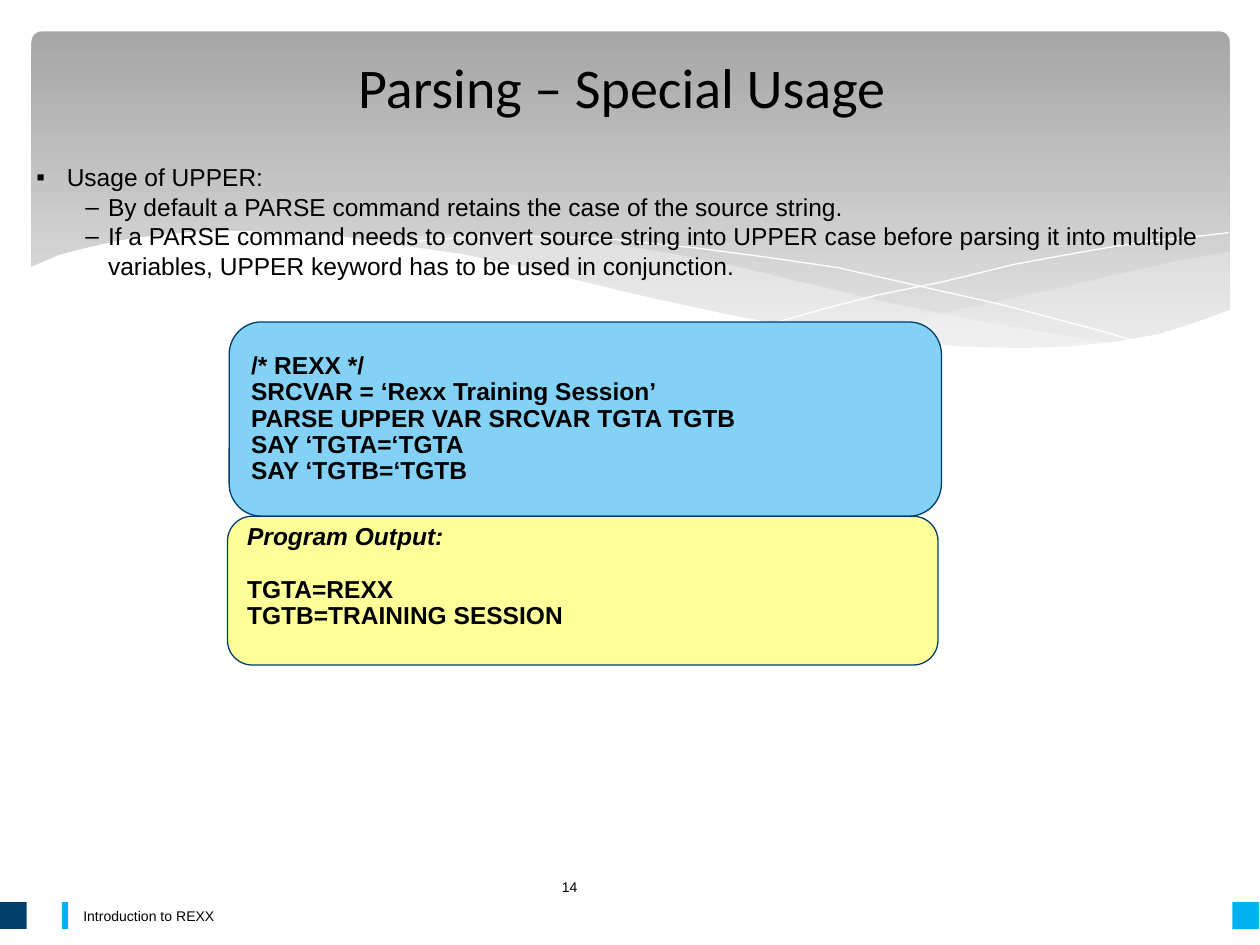
import pptx
import pptx.dml.color
import pptx.enum.shapes
import pptx.enum.text
import pptx.oxml.ns
import pptx.util
from lxml import etree

Pt = pptx.util.Pt
RGBColor = pptx.dml.color.RGBColor
SHAPE = pptx.enum.shapes.MSO_SHAPE
ANCHOR = pptx.enum.text.MSO_ANCHOR
ALIGN = pptx.enum.text.PP_ALIGN

BLACK = RGBColor(0x00, 0x00, 0x00)
WHITE = RGBColor(0xFF, 0xFF, 0xFF)
BANNER_DARK = RGBColor(0xA6, 0xA6, 0xA6)
BANNER_LIGHT = RGBColor(0xEB, 0xEB, 0xEB)
WAVE_GRAY = RGBColor(0xF8, 0xF8, 0xF8)
NAVY = RGBColor(0x00, 0x3F, 0x69)
CYAN = RGBColor(0x00, 0xB2, 0xEF)
CODE_BLUE = RGBColor(0x83, 0xD1, 0xF5)
OUTPUT_YELLOW = RGBColor(0xFF, 0xFF, 0x99)

# Wave outlines: points on the slide, in points of length.
RIGHT_WAVE = [
    (702.7, 144), (673.2, 149), (641.5, 155.5), (599, 165.6), (560.9, 174.2),
    (524.9, 182.2), (475.9, 190.8), (497.5, 193.7), (527, 197.3), (553.7, 199.4),
    (586.1, 200.2), (614.9, 198.7), (640.1, 195.8), (663.1, 190.8), (683.3, 185),
    (702.7, 177.8)]
MIDDLE_WAVE = [
    (643, 196.6), (602.6, 190.8), (558, 182.9), (508.3, 172.8), (452.9, 159.8),
    (420.5, 151.9), (389.5, 146.2), (360.7, 141.1), (317.5, 136.1), (273.6, 133.2),
    (247.7, 133.9), (205.9, 137.5), (246.2, 143.3), (290.9, 151.9), (353.5, 167),
    (407.5, 178.6), (456.5, 187.9), (500.4, 194.4), (538.6, 198.7), (573.1, 200.9),
    (603.4, 200.2)]
FALLING_CURVE = [
    (222.5, 140.4), (247, 136.8), (278.6, 134.6), (311.8, 134.6), (352.1, 136.8),
    (400.3, 141.8), (437.8, 146.9), (478.8, 153.4), (523.4, 162.7), (572.4, 174.2),
    (625, 187.9), (653, 195.8)]
RISING_CURVE = [
    (441.4, 185), (469.4, 177.1), (500.4, 169.2), (538.6, 160.6), (580.3, 151.2),
    (623.5, 143.3), (655.2, 138.2), (684.7, 134.6), (702, 133.2)]
WHITE_WAVE = [
    (703.4, 177.1), (684, 184.3), (662.4, 190.8), (638.6, 195.1), (612, 198),
    (582.5, 199.4), (547.9, 198), (509.8, 194.4), (465.8, 188.6), (416.9, 180),
    (362.2, 167.8), (301, 153.4), (262.8, 145.4), (226.8, 139.7), (195.1, 135.4),
    (165.6, 133.2), (139, 132.5), (115.9, 132.5), (95, 133.9), (76.3, 136.1),
    (61.2, 139), (48.2, 141.8), (33.1, 146.2), (16.6, 153.4), (16.6, 236.9),
    (703.4, 236.9)]


def format_paragraph(paragraph, text, size, name="Arial", bold=None, italic=None):
    paragraph.text = text
    font = paragraph.font
    font.size, font.name = Pt(size), name
    font.bold, font.italic = bold, italic
    font.color.rgb = BLACK


def add_preset(slide, preset, left, top, width, height, color=None):
    shape = slide.shapes.add_shape(preset, Pt(left), Pt(top), Pt(width), Pt(height))
    shape.shadow.inherit = False
    shape.line.fill.background()
    if color is not None:
        shape.fill.solid()
        shape.fill.fore_color.rgb = color
    return shape


def add_outline(slide, points, closed):
    builder = slide.shapes.build_freeform(*points[0], scale=Pt(1))
    builder.add_line_segments(points[1:], close=closed)
    shape = builder.convert_to_shape()
    shape.shadow.inherit = False
    return shape


def add_wave(slide, points, color, opacity=100):
    shape = add_outline(slide, points, True)
    shape.line.fill.background()
    shape.fill.solid()
    shape.fill.fore_color.rgb = color
    if opacity < 100:
        color_element = shape.element.spPr.find(".//" + pptx.oxml.ns.qn("a:srgbClr"))
        etree.SubElement(color_element, pptx.oxml.ns.qn("a:alpha"), val=str(opacity * 1000))


def add_curve(slide, points):
    shape = add_outline(slide, points, False)
    shape.fill.background()
    shape.line.color.rgb = WHITE
    shape.line.width = Pt(0)


def add_banner(slide):
    banner = add_preset(slide, SHAPE.ROUNDED_RECTANGLE, 18, 18, 684.7, 194.4)
    banner.adjustments[0] = 0.03
    banner.fill.gradient()
    banner.fill.gradient_angle = 270
    for stop, color in zip(banner.fill.gradient_stops, (BANNER_DARK, BANNER_LIGHT)):
        stop.color.rgb = color
    add_wave(slide, RIGHT_WAVE, WAVE_GRAY, 29)
    add_wave(slide, MIDDLE_WAVE, WAVE_GRAY, 40)
    add_curve(slide, FALLING_CURVE)
    add_curve(slide, RISING_CURVE)
    add_wave(slide, WHITE_WAVE, WHITE)


def add_text_box(slide, left, top, width, height):
    box = slide.shapes.add_textbox(Pt(left), Pt(top), Pt(width), Pt(height))
    box.text_frame.word_wrap = True
    return box.text_frame


def add_small_text(slide, text, left, top, width, height):
    frame = add_text_box(slide, left, top, width, height)
    frame.vertical_anchor = ANCHOR.MIDDLE
    format_paragraph(frame.paragraphs[0], text, 8)


def place_title(slide, text):
    title = slide.shapes.title
    title.left, title.top, title.width, title.height = Pt(31.5), Pt(0), Pt(648), Pt(98.6)
    title.text_frame.vertical_anchor = ANCHOR.MIDDLE
    paragraph = title.text_frame.paragraphs[0]
    format_paragraph(paragraph, text, 32, "Calibri")
    paragraph.alignment = ALIGN.CENTER
    # Bring the title in front of the banner.
    title.element.getparent().append(title.element)


def add_bullets(slide, items):
    """Items are (level, text) pairs."""
    styles = {0: ("▪", 17.4, -17.4), 1: ("–", 41, -13)}
    frame = add_text_box(slide, 13.7, 89.3, 684, 232.6)
    for index, (level, text) in enumerate(items):
        paragraph = frame.add_paragraph() if index else frame.paragraphs[0]
        paragraph.level = level
        character, margin, indent = styles[level]
        properties = paragraph._p.get_or_add_pPr()
        properties.set("marL", str(Pt(margin)))
        properties.set("indent", str(Pt(indent)))
        etree.SubElement(properties, pptx.oxml.ns.qn("a:buFont"), typeface="Arial")
        etree.SubElement(properties, pptx.oxml.ns.qn("a:buChar"), char=character)
        format_paragraph(paragraph, text, 14)


def add_panel(slide, left, top, width, height, color, lines):
    panel = add_preset(slide, SHAPE.FLOWCHART_ALTERNATE_PROCESS, left, top, width, height, color)
    panel.line.color.rgb = NAVY
    panel.line.width = Pt(0.75)
    frame = panel.text_frame
    frame.word_wrap = True
    frame.vertical_anchor = ANCHOR.MIDDLE
    for index, line in enumerate(lines):
        paragraph = frame.add_paragraph() if index else frame.paragraphs[0]
        paragraph.alignment = ALIGN.LEFT
        paragraph.line_spacing = 0.9
        format_paragraph(paragraph, line, 14, bold=True)
    return frame


def main():
    presentation = pptx.Presentation()
    presentation.slide_width, presentation.slide_height = Pt(720), Pt(540)
    slide = presentation.slides.add_slide(presentation.slide_layouts[5])

    add_banner(slide)
    add_small_text(slide, "Introduction to REXX", 40.5, 514, 561, 18.7)
    for left, width, color in ((0, 15.3, NAVY), (704.2, 15.3, CYAN), (35.4, 3.6, CYAN)):
        add_preset(slide, SHAPE.RECTANGLE, left, 515.5, width, 15.3, color)
    add_small_text(slide, "14", 314, 492.5, 91.4, 28.8)

    place_title(slide, "Parsing – Special Usage")
    add_bullets(slide, [
        (0, "Usage of UPPER:"),
        (1, "By default a PARSE command retains the case of the source string."),
        (1, "If a PARSE command needs to convert source string into UPPER case before "
            "parsing it into multiple variables, UPPER keyword has to be used in conjunction."),
    ])
    add_panel(slide, 131, 184, 407, 111, CODE_BLUE, [
        "/* REXX */",
        "SRCVAR = ‘Rexx Training Session’",
        "PARSE UPPER VAR SRCVAR TGTA TGTB",
        "SAY ‘TGTA=‘TGTA",
        "SAY ‘TGTB=‘TGTB",
    ])
    output = add_panel(slide, 130, 295, 406, 85, OUTPUT_YELLOW, [
        "Program Output:", "TGTA=REXX", "TGTB=TRAINING SESSION"])
    output.margin_bottom = Pt(18.6)
    output.paragraphs[0].font.italic = True
    output.paragraphs[1].space_before = Pt(15)

    presentation.save("out.pptx")


if __name__ == "__main__":
    main()
